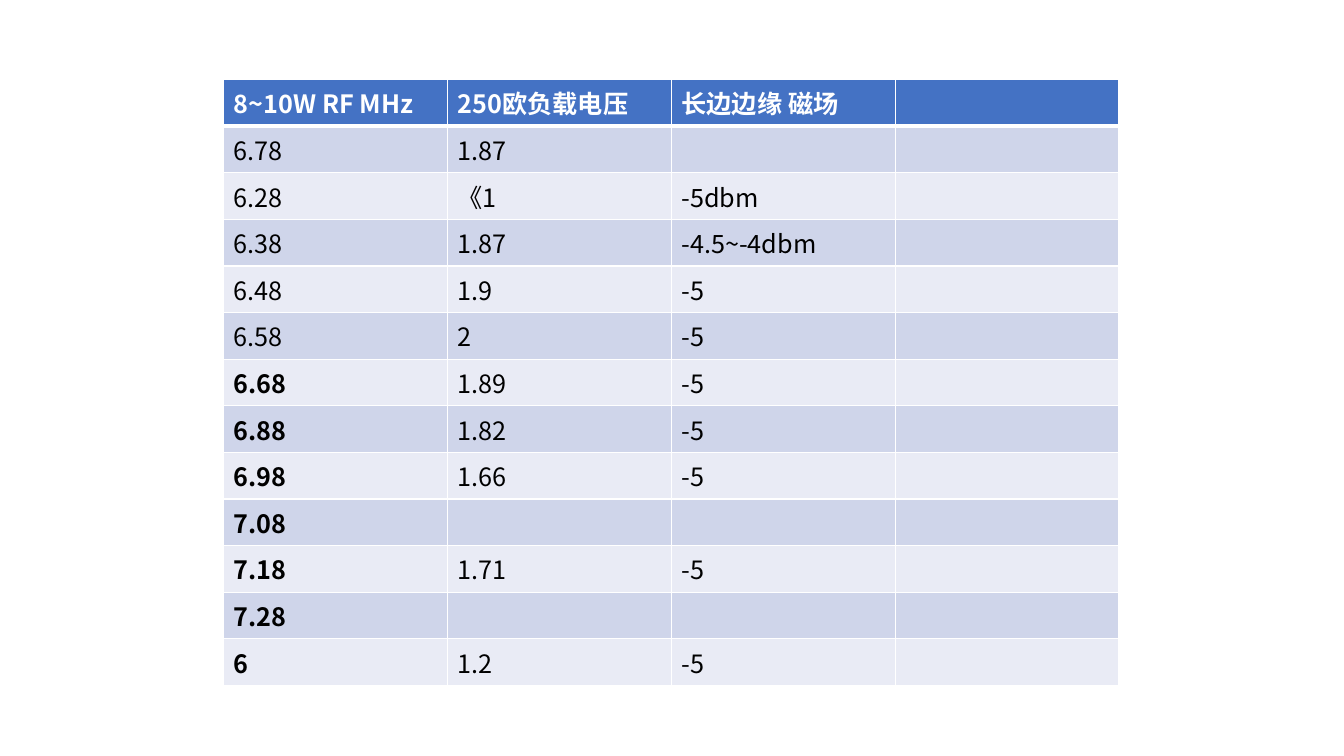
from lxml import etree
from pptx import Presentation
from pptx import util as u
from pptx.dml.color import RGBColor
from pptx.enum import text
from pptx.oxml.ns import qn

COLORS = {
    "header": "4472C4",
    "band_dark": "CFD5EA",
    "band_light": "E9EBF5",
    "white": "FFFFFF",
    "black": "000000",
}
FONT = "Noto Sans CJK SC"
FIRST_BOLD_ROW = 6
ROWS = [
    ("8~10W RF MHz", "250欧负载电压", "长边边缘 磁场", ""),
    ("6.78", "1.87", "", ""),
    ("6.28", "《1", "-5dbm", ""),
    ("6.38", "1.87", "-4.5~-4dbm", ""),
    ("6.48", "1.9", "-5", ""),
    ("6.58", "2", "-5", ""),
    ("6.68", "1.89", "-5", ""),
    ("6.88", "1.82", "-5", ""),
    ("6.98", "1.66", "-5", ""),
    ("7.08", "", "", ""),
    ("7.18", "1.71", "-5", ""),
    ("7.28", "", "", ""),
    ("6", "1.2", "-5", ""),
]


def rgb(name):
    return RGBColor.from_string(COLORS[name])


def write(tf, content, size=18, color="black", bold=False):
    p = tf.paragraphs[0]
    p.alignment = text.PP_ALIGN.LEFT
    p.font.size = u.Pt(size)
    if not content:
        return
    r = p.add_run()
    r.text = content
    r.font.name = FONT
    r.font.size = u.Pt(size)
    r.font.bold = bold
    r.font.color.rgb = rgb(color)
    ea = etree.SubElement(r.font._element, qn("a:ea"))
    ea.set("typeface", FONT)


class SlideBuilder:
    def __init__(self, slide):
        self.s = slide

    def border(self, cell, bottom=1):
        tcPr = cell._tc.get_or_add_tcPr()
        for side, width in (("L", 1), ("R", 1), ("T", 1), ("B", bottom)):
            ln = etree.SubElement(tcPr, qn(f"a:ln{side}"), w=str(u.Pt(width)))
            fill = etree.SubElement(ln, qn("a:solidFill"))
            etree.SubElement(fill, qn("a:srgbClr"), val=COLORS["white"])

    def cell(self, cell, content, fill, bottom=1, **style):
        self.border(cell, bottom)
        cell.fill.solid()
        cell.fill.fore_color.rgb = rgb(fill)
        write(cell.text_frame, content, **style)

    def table(self, rows, left, top, col_width, row_height):
        cols = len(rows[0])
        frame = self.s.shapes.add_table(
            len(rows), cols, u.Inches(left), u.Inches(top),
            u.Inches(col_width * cols), u.Inches(row_height * len(rows)))
        tbl = frame.table
        tbl.horz_banding = False
        for col in tbl.columns:
            col.width = u.Inches(col_width)
        for i, values in enumerate(rows):
            tbl.rows[i].height = u.Inches(row_height)
            for j, value in enumerate(values):
                if i == 0:
                    self.cell(tbl.cell(i, j), value, "header", bottom=3,
                              color="white", bold=True)
                else:
                    fill = "band_dark" if i % 2 else "band_light"
                    bold = j == 0 and i >= FIRST_BOLD_ROW
                    self.cell(tbl.cell(i, j), value, fill,
                              bottom=1, bold=bold)
                if i == 1:
                    top_line = tbl.cell(i, j)._tc.tcPr.find(qn("a:lnT"))
                    top_line.set("w", str(u.Pt(3)))


def main():
    prs = Presentation()
    prs.slide_width = u.Inches(13.33)
    prs.slide_height = u.Inches(7.5)
    s = prs.slides.add_slide(prs.slide_layouts[6])
    SlideBuilder(s).table(ROWS, left=2.22, top=0.79,
                          col_width=2.22, row_height=0.41)
    prs.save("out.pptx")


if __name__ == "__main__":
    main()
